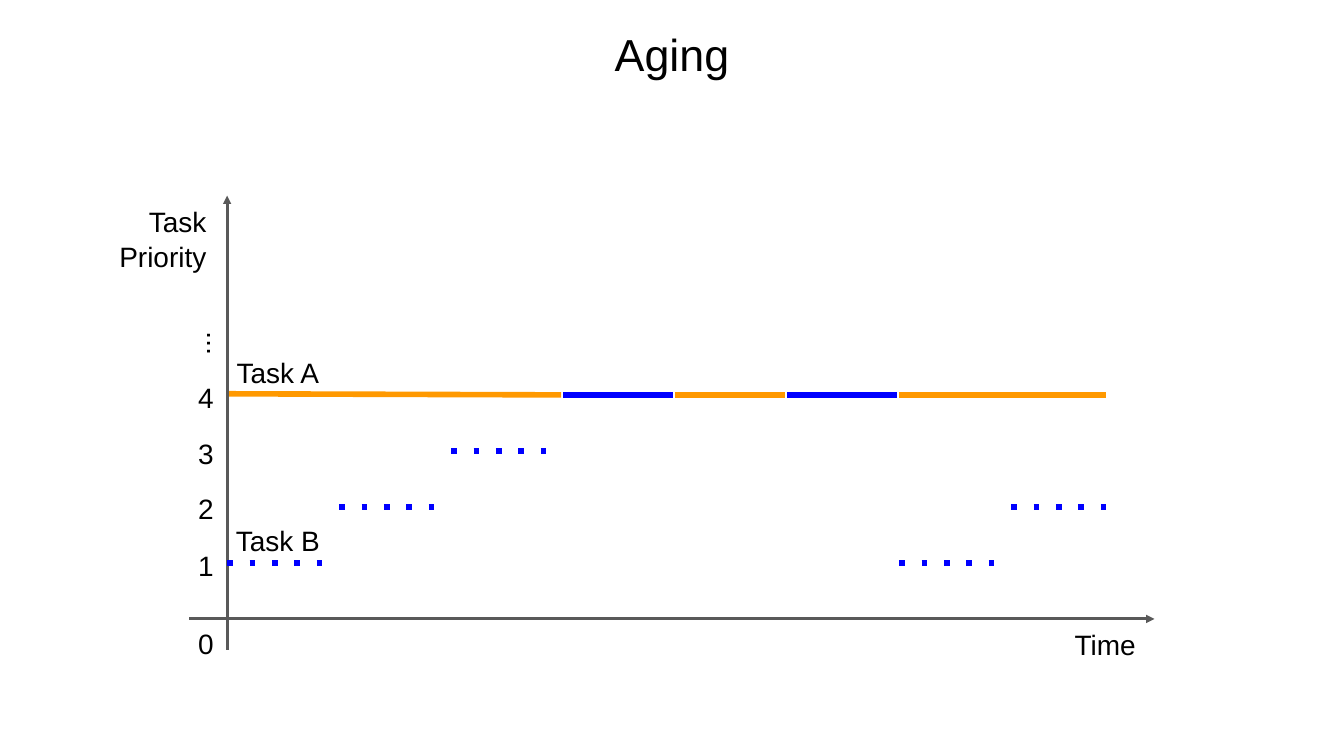
from lxml import etree
from pptx import Presentation
from pptx import util as u
from pptx.dml.color import RGBColor
from pptx.enum import shapes, text
from pptx.oxml.ns import qn

COLORS = {"ink": "000000", "axis": "595959", "task_a": "FF9900", "task_b": "0000FF"}
ALIGN = text.PP_ALIGN

ORIGIN_X, ORIGIN_Y = 3.38, 9.21
SLOT = 5 / 3
STEP = 5 / 6
RUN = 1.64

WAITING = [(0, 1), (1, 2), (2, 3), (6, 1), (7, 2)]
RUNNING = [(3, "task_b", RUN), (4, "task_a", RUN), (5, "task_b", RUN), (6, "task_a", 3.08)]
LABEL_TOPS = {"0": 9.19, "1": 8.03, "2": 7.19, "3": 6.36, "4": 5.53}


def slot_x(slot):
    return ORIGIN_X + slot * SLOT


def level_y(priority):
    return ORIGIN_Y - priority * STEP


def add_line(slide, start, end, color, width, dotted=False, arrow=False):
    line = slide.shapes.add_connector(
        shapes.MSO_CONNECTOR.STRAIGHT, *(u.Inches(v) for v in (*start, *end)))
    line.line.color.rgb = RGBColor.from_string(COLORS[color])
    line.line.width = u.Pt(width)
    stroke = line.line._get_or_add_ln()
    if dotted:
        etree.SubElement(stroke, qn("a:prstDash"), val="dot")
    if arrow:
        etree.SubElement(stroke, qn("a:tailEnd"), type="triangle")
    etree.SubElement(line._element.spPr, qn("a:effectLst"))


def add_label(slide, wording, left, top, width, height=0.71, align=ALIGN.RIGHT, size=30):
    label = slide.shapes.add_textbox(*(u.Inches(v) for v in (left, top, width, height)))
    frame = label.text_frame
    frame.word_wrap = True
    frame.margin_left = frame.margin_right = u.Inches(0.1)
    frame.margin_top = frame.margin_bottom = u.Inches(0.1)
    frame.text = wording
    for paragraph in frame.paragraphs:
        paragraph.alignment = align
        paragraph.line_spacing = 1.06
        paragraph.font.name = "Arial"
        paragraph.font.size = u.Pt(size)
        paragraph.font.color.rgb = RGBColor.from_string(COLORS["ink"])
    return label


def add_axes(slide):
    add_line(slide, (ORIGIN_X, 9.67), (ORIGIN_X, 2.91), "axis", 3, arrow=True)
    add_line(slide, (2.82, ORIGIN_Y), (17.18, ORIGIN_Y), "axis", 3, arrow=True)


def add_schedule(slide):
    for slot, priority in WAITING:
        x, y = slot_x(slot), level_y(priority)
        add_line(slide, (x, y), (x + RUN, y), "task_b", 6, dotted=True)
    top_level = level_y(4)
    for slot, task, length in RUNNING:
        x = slot_x(slot)
        add_line(slide, (x, top_level), (x + length, top_level), task, 6)
    add_line(slide, (3.41, 5.86), (8.35, top_level), "task_a", 6)


def add_labels(slide):
    add_label(slide, "Task\nPriority", 1.32, 2.91, 1.85, 1.21)
    add_label(slide, "Time", 15.15, ORIGIN_Y, 1.85)
    for task, priority in (("Task B", 1), ("Task A", 4)):
        add_label(slide, task, ORIGIN_X, level_y(priority) - 0.71, 1.51, align=ALIGN.CENTER)
    for number, top in LABEL_TOPS.items():
        add_label(slide, number, 2.01, top, 1.27)
    more = add_label(slide, "...", 2.52, 4.76, 0.83, align=ALIGN.CENTER)
    more.rotation = 270


def main():
    deck = Presentation()
    deck.slide_width, deck.slide_height = u.Inches(20), u.Inches(11.25)
    slide = deck.slides.add_slide(deck.slide_layouts[6])
    title = add_label(slide, "Aging", 0, 0, 20, 1.54, ALIGN.CENTER, 48)
    title.text_frame.vertical_anchor = text.MSO_ANCHOR.MIDDLE
    add_axes(slide)
    add_schedule(slide)
    add_labels(slide)
    deck.save("out.pptx")


if __name__ == "__main__":
    main()
